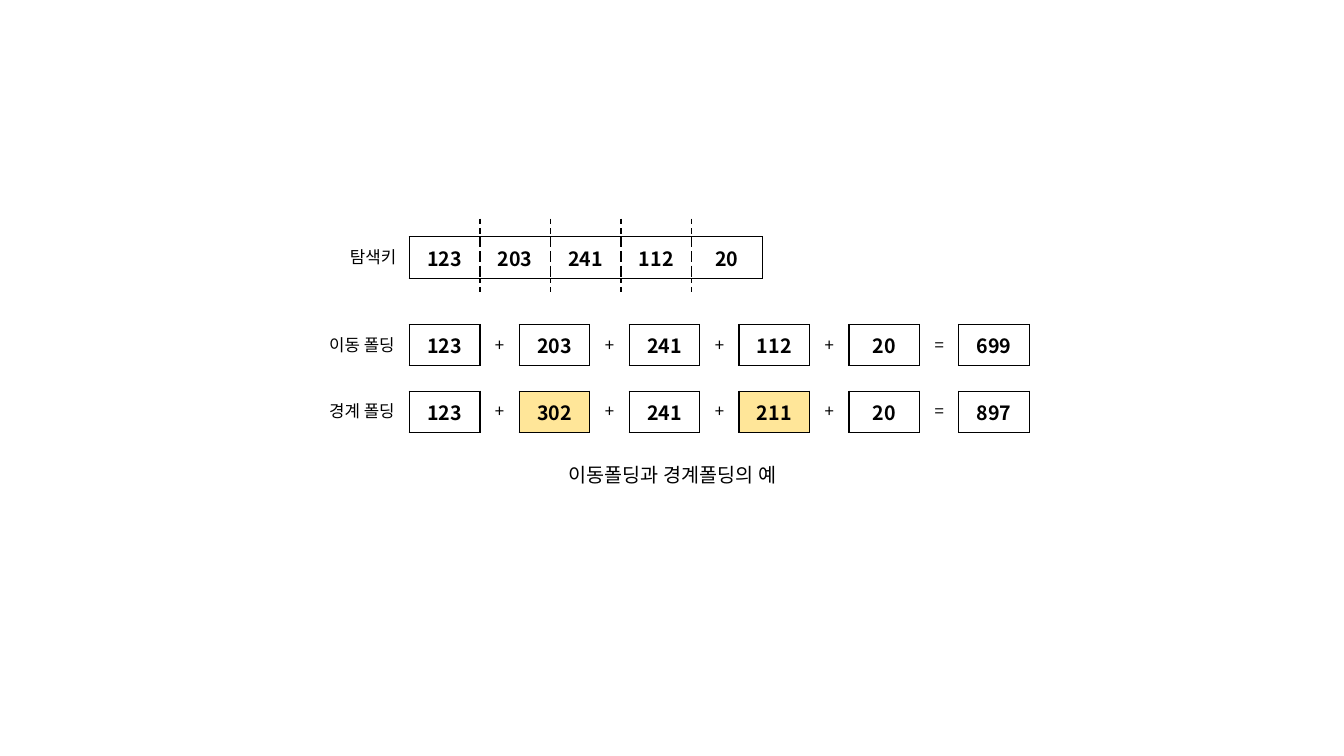
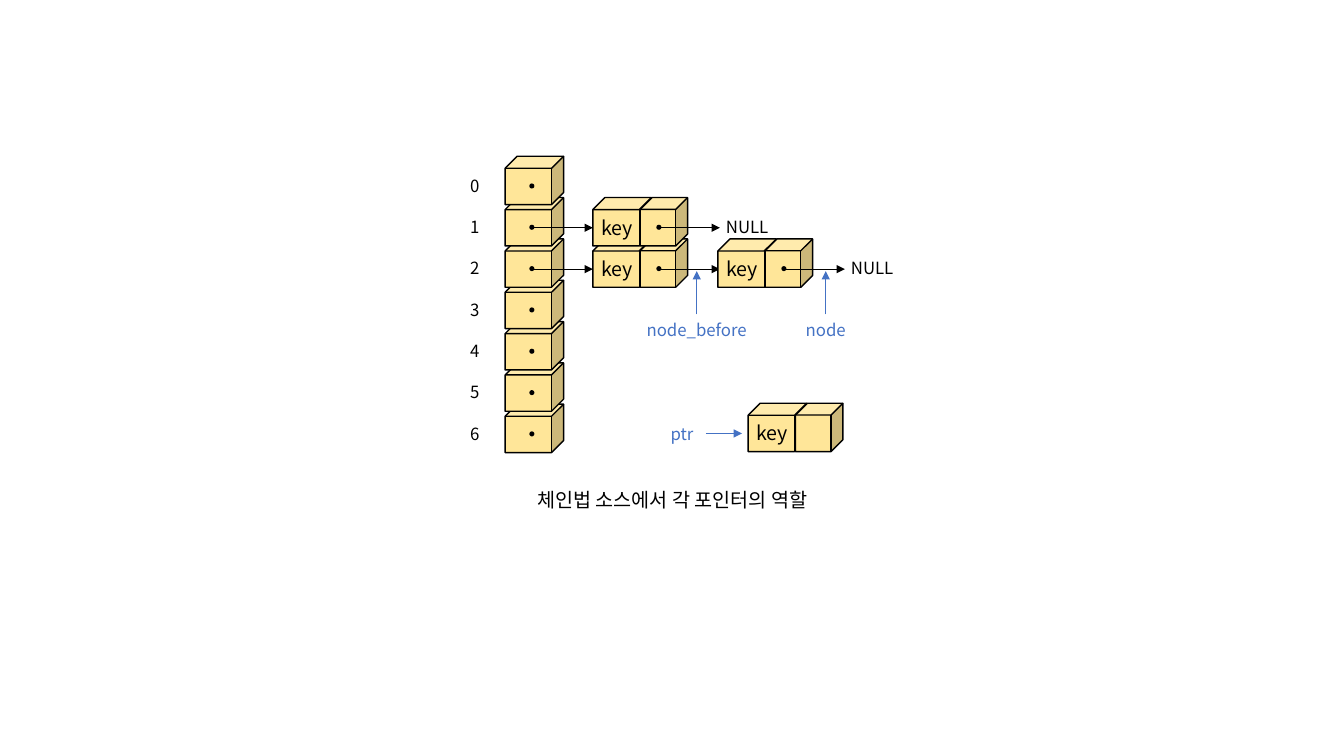
from lxml import etree
from pptx import Presentation
from pptx.dml.color import RGBColor
from pptx.enum.dml import MSO_LINE
from pptx.enum.shapes import MSO_CONNECTOR, MSO_SHAPE
from pptx.enum.text import MSO_ANCHOR, PP_ALIGN
from pptx.oxml.ns import qn
from pptx.util import Pt

PX = 9144
FONT = "Noto Sans CJK KR"
BLACK, WHITE, YELLOW, BLUE = "000000", "FFFFFF", "FFE699", "4472C4"
CUBE, DOT = MSO_SHAPE.CUBE, MSO_SHAPE.OVAL
STRAIGHT, DASH = MSO_CONNECTOR.STRAIGHT, MSO_LINE.DASH
CENTER, MIDDLE = PP_ALIGN.CENTER, MSO_ANCHOR.MIDDLE
TOP, RIGHT = 0, 3

CELL_W, CELL_H = 70, 41
OPERATOR_W = 39
LABEL_H = 30
SLOT_PITCH = 41
CUBE_W, LINK_W, CUBE_H = 58, 47, 48
DOT_SIZE = 5
ARROW_Y = 30
LABEL_Y = 14
NODE_PITCH = 124


def px(*lengths):
    """Turn pixel lengths into EMU."""
    return [length * PX for length in lengths]


def rgb(value):
    """Return the colour for a hex string."""
    return RGBColor.from_string(value)


def style_text(frame, size, color=BLACK, bold=False):
    """Centre the text of a frame and set its font."""
    for para in frame.paragraphs:
        para.alignment = CENTER
        for span in para.runs:
            span.font.name = FONT
            span.font.size = Pt(size)
            span.font.bold = bold
            span.font.color.rgb = rgb(color)
            properties = span._r.get_or_add_rPr()
            etree.SubElement(properties, qn("a:ea"), typeface=FONT)


def add_label(page, text, x, y, width, size=12, color=BLACK):
    """Add a centred text box."""
    height = 34 if size == 14 else LABEL_H
    box = page.shapes.add_textbox(*px(x, y, width, height))
    box.text_frame.word_wrap = True
    box.text_frame.text = text
    style_text(box.text_frame, size, color)
    return box


def add_caption(page, text, y):
    """Add the caption below a figure."""
    add_label(page, text, 348, y, 638, size=14)


def add_line(page, start, end, color=BLACK, width=0.5, dash=None, arrow=True):
    """Add a straight line, with an arrowhead at its end if wanted."""
    line = page.shapes.add_connector(STRAIGHT, *px(*start, *end))
    line.line.color.rgb = rgb(color)
    line.line.width = Pt(width)
    if dash:
        line.line.dash_style = dash
    if arrow:
        outline = line.line._get_or_add_ln()
        etree.SubElement(outline, qn("a:tailEnd"), type="triangle")
    etree.SubElement(line._element.spPr, qn("a:effectLst"))
    return line


def add_preset(page, kind, x, y, width, height, fill, outlined=True):
    """Add a filled preset shape."""
    shape = page.shapes.add_shape(kind, *px(x, y, width, height))
    shape.shadow.inherit = False
    shape.fill.solid()
    shape.fill.fore_color.rgb = rgb(fill)
    if outlined:
        shape.line.color.rgb = rgb(BLACK)
        shape.line.width = Pt(1)
    else:
        shape.line.fill.background()


def add_border(cell, side, dash):
    """Draw one side of a table cell."""
    border = etree.SubElement(
        cell._tc.get_or_add_tcPr(), qn(f"a:ln{side}"), w=str(Pt(1)))
    fill = etree.SubElement(border, qn("a:solidFill"))
    etree.SubElement(fill, qn("a:srgbClr"), val=BLACK)
    etree.SubElement(border, qn("a:prstDash"), val=dash)


def add_cells(page, values, x, y, fill=WHITE):
    """Add a one-row table with dashed inner borders."""
    count = len(values)
    table = page.shapes.add_table(
        1, count, *px(x, y, CELL_W * count, CELL_H)).table
    table.first_row = table.horz_banding = False
    for column, value in enumerate(values):
        cell = table.cell(0, column)
        add_border(cell, "L", "solid" if column == 0 else "sysDash")
        add_border(cell, "R", "solid" if column == count - 1 else "sysDash")
        add_border(cell, "T", "solid")
        add_border(cell, "B", "solid")
        cell.fill.solid()
        cell.fill.fore_color.rgb = rgb(fill)
        cell.vertical_anchor = MIDDLE
        cell.text_frame.text = value
        style_text(cell.text_frame, 14, bold=True)


def add_search_key(page, values, x, y):
    """Add the search key with its dashed cutting lines."""
    add_label(page, "탐색키", x - 72, y + 5, 72)
    for index in range(1, len(values)):
        cut = x + CELL_W * index
        add_line(page, (cut, y - 18), (cut, y + 58),
                 width=1, dash=DASH, arrow=False)
    add_cells(page, values, x, y)


def add_folding(page, name, values, marked, x, y):
    """Add one folding sum, whose last value is the total."""
    add_label(page, name, x - 94, y + 5, 94)
    operators = ["+"] * (len(values) - 2) + ["="]
    for index, value in enumerate(values):
        left = x + (CELL_W + OPERATOR_W) * index
        add_cells(page, [value], left, y, YELLOW if value in marked else WHITE)
        if index < len(operators):
            add_label(page, operators[index], left + CELL_W, y + 5, OPERATOR_W)


def build_folding_page(page):
    """Build the page that compares the two foldings."""
    left = 406
    add_search_key(page, ["123", "203", "241", "112", "20"], left, 235)
    add_folding(page, "이동 폴딩",
                ["123", "203", "241", "112", "20", "699"], [], left, 322)
    add_folding(page, "경계 폴딩",
                ["123", "302", "241", "211", "20", "897"],
                ["302", "211"], left, 388)
    add_caption(page, "이동폴딩과 경계폴딩의 예", 454)


def add_dot(page, x, y):
    """Add the dot where a pointer starts."""
    add_preset(page, DOT, x, y, DOT_SIZE, DOT_SIZE, BLACK, outlined=False)


def add_node(page, x, y):
    """Add a list node made of a key cube and a link cube."""
    add_preset(page, CUBE, x, y, CUBE_W, CUBE_H, YELLOW)
    add_preset(page, CUBE, x + 47, y, LINK_W, CUBE_H, YELLOW)
    add_label(page, "key", x - 10, y + 13, 68, size=14)


def add_chain(page, count, x, y):
    """Add the nodes that hang on a slot, ending in NULL."""
    slot_end = x - CUBE_W
    add_line(page, (slot_end, y + ARROW_Y), (x, y + ARROW_Y))
    for index in range(count):
        left = x + NODE_PITCH * index
        add_node(page, left, y)
        add_dot(page, left + 63, y + 27)
        add_line(page, (left + 68, y + ARROW_Y), (left + 126, y + ARROW_Y))
    add_label(page, "NULL", x + NODE_PITCH * count - 5, y + LABEL_Y, 68)


def add_bucket_table(page, count, x, y):
    """Add the numbered stack of slots, from the lowest up."""
    for index in reversed(range(count)):
        top = y + SLOT_PITCH * index
        add_preset(page, CUBE, x, top, CUBE_W, CUBE_H, YELLOW)
        add_dot(page, x + 24, top + 27)
        add_label(page, str(index), x - 59, top + LABEL_Y, 58)


def add_pointer(page, name, box, side, start, end):
    """Add a pointer name and the arrow that leaves its box."""
    label = add_label(page, name, *box, color=BLUE)
    arrow = add_line(page, start, end, BLUE)
    arrow.begin_connect(label, side)


def build_chaining_page(page):
    """Build the page that shows the pointers of a chained table."""
    slot_x, slot_y, chain_x = 501, 155, 588
    add_bucket_table(page, 7, slot_x, slot_y)
    for slot, count in ((2, 2), (1, 1)):
        add_chain(page, count, chain_x, slot_y + SLOT_PITCH * slot)
    add_node(page, 742, 400)
    add_pointer(page, "node_before", (620, 312, 142), TOP,
                (691, 312), (691, 269))
    add_pointer(page, "node", (748, 312, 142), TOP, (819, 312), (819, 269))
    add_pointer(page, "ptr", (653, 415, 47), RIGHT, (700, 430), (736, 430))
    add_caption(page, "체인법 소스에서 각 포인터의 역할", 479)


def main():
    """Build and save the deck."""
    deck = Presentation()
    deck.slide_width, deck.slide_height = px(1333, 750)
    for build in (build_folding_page, build_chaining_page):
        build(deck.slides.add_slide(deck.slide_layouts[6]))
    deck.save("out.pptx")


if __name__ == "__main__":
    main()
